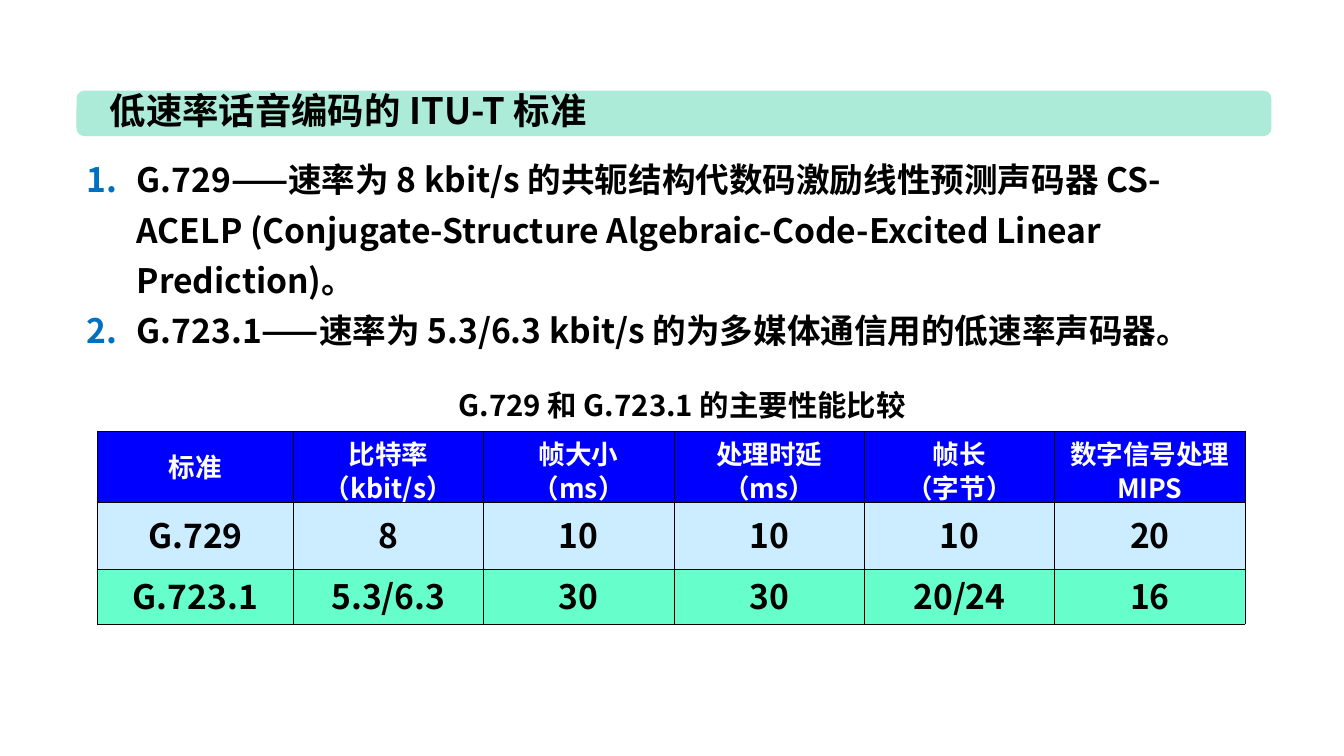
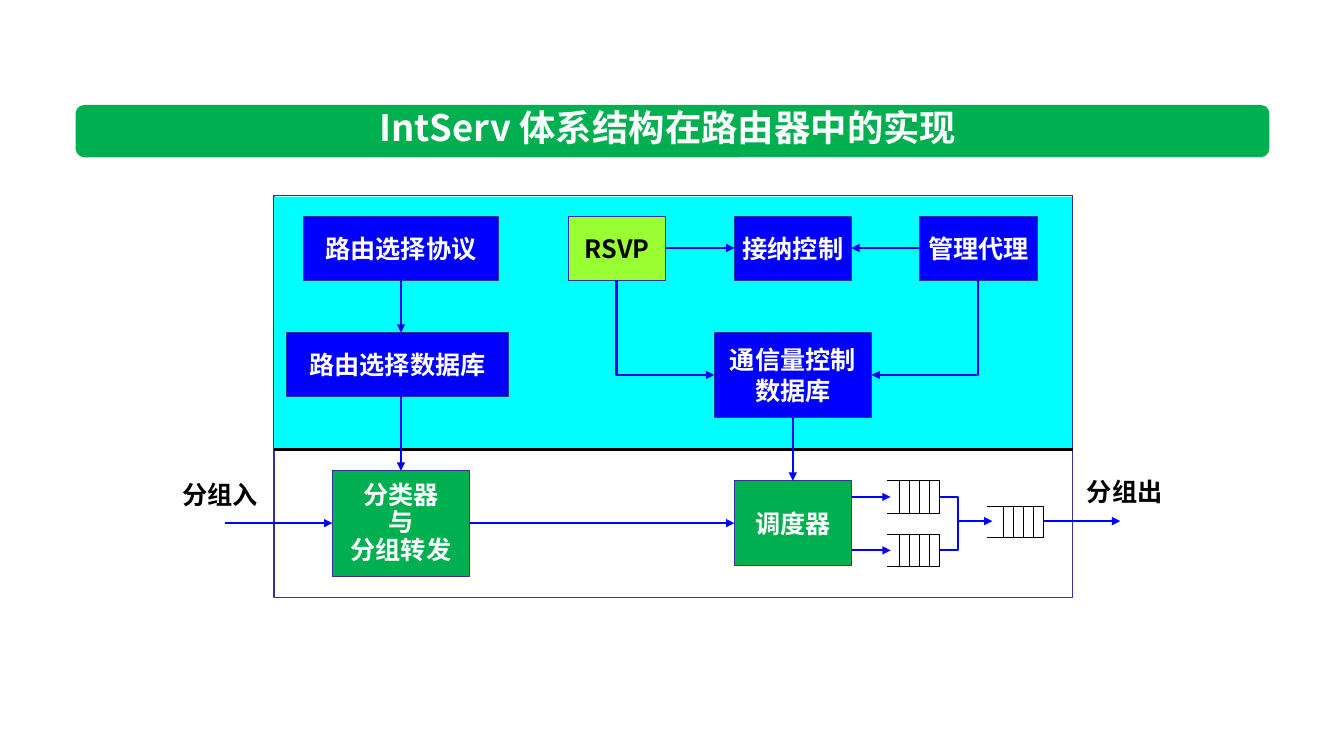
"""Build two slides on speech coding standards and the IntServ router."""
from dataclasses import dataclass
from typing import Optional

from lxml import etree
from pptx import Presentation
from pptx.dml.color import RGBColor
from pptx.enum.shapes import MSO_CONNECTOR, MSO_SHAPE
from pptx.enum.text import MSO_ANCHOR, PP_ALIGN
from pptx.oxml.ns import qn
from pptx.shapes.autoshape import Shape
from pptx.slide import Slide
from pptx.text.text import TextFrame
from pptx.util import Emu, Pt

RECTANGLE = MSO_SHAPE.RECTANGLE
ROUNDED = MSO_SHAPE.ROUNDED_RECTANGLE
STRAIGHT = MSO_CONNECTOR.STRAIGHT
LEFT, CENTER = PP_ALIGN.LEFT, PP_ALIGN.CENTER
TOP, MIDDLE = MSO_ANCHOR.TOP, MSO_ANCHOR.MIDDLE
EMU_PER_PX = 9144
Point = tuple[int, int]


@dataclass(frozen=True)
class Theme:
    """Colours, font and sizes shared by the slides."""

    font: str = "Noto Sans CJK SC"
    black: str = "000000"
    white: str = "FFFFFF"
    blue: str = "0000FF"
    green: str = "00B050"
    lime: str = "99FF33"
    cyan: str = "00FFFF"
    mint: str = "ABEBD7"
    outline: str = "333399"
    number: str = "0070C0"
    row_fills: tuple[str, ...] = ("0000FF", "CCECFF", "66FFCC")
    title_size: int = 26
    body_size: int = 24
    caption_size: int = 21
    header_size: int = 19
    label_size: int = 18
    border_width: float = 0.45
    thin: float = 0.75
    arrow: float = 1.5
    thick: float = 2.25


THEME = Theme()


@dataclass(frozen=True)
class Box:
    """A rectangle in px."""

    left: int
    top: int
    width: int
    height: int

    @property
    def right(self) -> int:
        """Return the right edge."""
        return self.left + self.width

    @property
    def bottom(self) -> int:
        """Return the bottom edge."""
        return self.top + self.height

    @property
    def center(self) -> int:
        """Return the horizontal centre."""
        return self.left + self.width // 2

    @property
    def middle(self) -> int:
        """Return the vertical centre."""
        return self.top + self.height // 2

    def emu(self) -> tuple[Emu, Emu, Emu, Emu]:
        """Return the place and size in EMU."""
        return px(self.left), px(self.top), px(self.width), px(self.height)


@dataclass(frozen=True)
class TextStyle:
    """The look of a block of text."""

    size: int
    color: str = THEME.black
    align: PP_ALIGN = LEFT
    spacing: Optional[float] = None
    numbered: bool = False


@dataclass(frozen=True)
class Node:
    """A labelled block of the router diagram."""

    box: Box
    text: str
    fill: str = THEME.blue
    color: str = THEME.white
    spacing: Optional[float] = None


def px(length: int) -> Emu:
    """Turn px into EMU."""
    return Emu(length * EMU_PER_PX)


def write(frame: TextFrame, text: str, style: TextStyle) -> None:
    """Write one paragraph for each line of text."""
    for index, line in enumerate(text.split("\n")):
        paragraph = frame.add_paragraph() if index else frame.paragraphs[0]
        paragraph.text = line
        paragraph.alignment = style.align
        if style.numbered:
            properties = paragraph._p.get_or_add_pPr()
            properties.set("marL", str(px(50)))
            properties.set("indent", str(px(-50)))
            color = etree.SubElement(properties, qn("a:buClr"))
            etree.SubElement(color, qn("a:srgbClr"), val=THEME.number)
            etree.SubElement(properties, qn("a:buAutoNum"), type="arabicPeriod")
        if style.spacing:
            paragraph.line_spacing = style.spacing
        font = paragraph.font
        font.size = Pt(style.size)
        font.bold = True
        font.color.rgb = RGBColor.from_string(style.color)
        font.name = THEME.font
        defaults = paragraph._p.pPr.find(qn("a:defRPr"))
        etree.SubElement(defaults, qn("a:ea"), typeface=THEME.font)


def add_text(slide: Slide, box: Box, text: str, style: TextStyle, wrap: bool = False) -> None:
    """Add a text box."""
    frame = slide.shapes.add_textbox(*box.emu()).text_frame
    frame.word_wrap = wrap
    write(frame, text, style)


def add_block(slide: Slide, box: Box, fill: str, outlined: bool = True,
              kind: MSO_SHAPE = RECTANGLE) -> Shape:
    """Add a filled shape."""
    shape = slide.shapes.add_shape(kind, *box.emu())
    shape.shadow.inherit = False
    shape.fill.solid()
    shape.fill.fore_color.rgb = RGBColor.from_string(fill)
    if outlined:
        shape.line.color.rgb = RGBColor.from_string(THEME.outline)
        shape.line.width = Pt(THEME.thin)
    else:
        shape.line.fill.background()
    return shape


def add_title(slide: Slide, band: Box, fill: str, box: Box, text: str, style: TextStyle) -> None:
    """Add the rounded title band and its text."""
    add_block(slide, band, fill, outlined=False, kind=ROUNDED)
    add_text(slide, box, text, style)


def add_path(slide: Slide, *points: Point, color: str = THEME.blue,
             width: float = THEME.arrow, arrow: bool = True) -> None:
    """Add a line through the points, with an arrowhead if wanted."""
    places = [(px(x), px(y)) for x, y in points]
    if len(places) == 2:
        shape = slide.shapes.add_connector(STRAIGHT, *places[0], *places[1])
    else:
        builder = slide.shapes.build_freeform(*places[0])
        builder.add_line_segments(places[1:], close=False)
        shape = builder.convert_to_shape()
        shape.fill.background()
    shape.line.color.rgb = RGBColor.from_string(color)
    shape.line.width = Pt(width)
    properties = shape.element.spPr
    if arrow:
        etree.SubElement(properties.find(qn("a:ln")), qn("a:tailEnd"), type="triangle")
    etree.SubElement(properties, qn("a:effectLst"))


def add_node(slide: Slide, node: Node) -> None:
    """Add a labelled block."""
    frame = add_block(slide, node.box, node.fill).text_frame
    frame.word_wrap = False
    frame.vertical_anchor = MIDDLE
    write(frame, node.text, TextStyle(THEME.label_size, node.color, CENTER, node.spacing))


def add_queue(slide: Slide, box: Box) -> None:
    """Add a queue open on the left, with four bars."""
    outline = ((box.left, box.top), (box.right, box.top),
               (box.right, box.bottom), (box.left, box.bottom))
    bars = [((x, box.top), (x, box.bottom)) for x in range(box.right - 40, box.right, 10)]
    for points in (outline, *bars):
        add_path(slide, *points, color=THEME.black, width=THEME.thin, arrow=False)


def add_comparison(slide: Slide, box: Box, columns: list[int], heights: list[int],
                   rows: list[list[str]]) -> None:
    """Add the comparison table."""
    graphic = slide.shapes.add_table(len(rows), len(columns), *box.emu())
    table = graphic.table
    for column, width in zip(table.columns, columns):
        column.width = px(width)
    for index, (row, height, texts) in enumerate(zip(table.rows, heights, rows)):
        row.height = px(height)
        style = (TextStyle(THEME.body_size, THEME.black, CENTER, 0.9) if index
                 else TextStyle(THEME.header_size, THEME.white, CENTER, 0.9))
        for cell, text in zip(row.cells, texts):
            cell.vertical_anchor = MIDDLE
            cell.margin_left = cell.margin_right = px(13)
            cell.margin_top = cell.margin_bottom = px(5)
            cell.fill.solid()
            cell.fill.fore_color.rgb = RGBColor.from_string(THEME.row_fills[index])
            write(cell.text_frame, text, style)
            properties = cell._tc.get_or_add_tcPr()
            for position, side in enumerate(("lnL", "lnR", "lnT", "lnB")):
                border = etree.Element(qn(f"a:{side}"), w=str(Pt(THEME.border_width)))
                fill = etree.SubElement(border, qn("a:solidFill"))
                etree.SubElement(fill, qn("a:srgbClr"), val=THEME.black)
                properties.insert(position, border)


def build_standards(slide: Slide) -> None:
    """Build the slide on the speech coding standards."""
    add_title(slide, Box(76, 90, 1186, 45), THEME.mint, Box(99, 83, 520, 54),
              "低速率话音编码的 ITU-T 标准", TextStyle(THEME.title_size))
    add_text(slide, Box(76, 143, 1186, 210),
             "G.729——速率为 8 kbit/s 的共轭结构代数码激励线性预测声码器 CS-ACELP "
             "(Conjugate-Structure Algebraic-Code-Excited Linear Prediction)。\n"
             "G.723.1——速率为 5.3/6.3 kbit/s 的为多媒体通信用的低速率声码器。",
             TextStyle(THEME.body_size, spacing=Pt(36), numbered=True), wrap=True)
    add_text(slide, Box(391, 379, 572, 45), "G.729 和 G.723.1 的主要性能比较",
             TextStyle(THEME.caption_size, align=CENTER), wrap=True)
    add_comparison(slide, Box(97, 428, 1139, 191), [194] + [189] * 5, [70, 67, 54], [
        ["标准", "比特率\n（kbit/s）", "帧大小\n（ms）", "处理时延\n（ms）",
         "帧长\n（字节）", "数字信号处理\nMIPS"],
        ["G.729", "8", "10", "10", "10", "20"],
        ["G.723.1", "5.3/6.3", "30", "30", "20/24", "16"],
    ])


def build_router(slide: Slide) -> None:
    """Build the slide on IntServ inside a router."""
    add_title(slide, Box(75, 104, 1185, 52), THEME.green, Box(357, 99, 612, 54),
              "IntServ 体系结构在路由器中的实现",
              TextStyle(THEME.title_size, THEME.white, CENTER))
    router = Box(272, 194, 793, 399)
    add_block(slide, router, THEME.white)
    add_block(slide, Box(272, 195, 792, 250), THEME.cyan, outlined=False)

    protocol = Box(301, 215, 194, 63)
    routes = Box(284, 330, 221, 63)
    rsvp = Box(564, 215, 97, 63)
    admission = Box(729, 215, 116, 63)
    agent = Box(913, 215, 117, 63)
    traffic = Box(709, 330, 156, 84)
    classifier = Box(330, 467, 136, 105)
    scheduler = Box(729, 477, 116, 84)
    for node in (
        Node(protocol, "路由选择协议"),
        Node(routes, "路由选择数据库"),
        Node(rsvp, "RSVP", THEME.lime, THEME.black),
        Node(admission, "接纳控制"),
        Node(agent, "管理代理"),
        Node(traffic, "通信量控制\n数据库"),
        Node(classifier, "分类器\n与\n分组转发", THEME.green, spacing=0.9),
        Node(scheduler, "调度器", THEME.green),
    ):
        add_node(slide, node)

    upper, lower = (Box(880, top, 53, 32) for top in (477, 530))
    output = Box(980, 502, 56, 31)
    for queue in (upper, lower, output):
        add_queue(slide, queue)

    add_path(slide, (router.left, 446), (router.right, 446),
             color=THEME.black, width=THEME.thick, arrow=False)
    merge = 951
    add_path(slide, (upper.right, upper.middle), (merge, upper.middle),
             (merge, lower.middle), (lower.right, lower.middle), arrow=False)
    for points in (
        ((output.right, output.middle), (1112, output.middle)),
        ((traffic.center, traffic.bottom), (traffic.center, scheduler.top)),
        ((scheduler.right, upper.middle), (884, upper.middle)),
        ((scheduler.right, lower.middle), (884, lower.middle)),
        ((classifier.right, classifier.middle), (scheduler.left, classifier.middle)),
        ((223, classifier.middle), (classifier.left, classifier.middle)),
        ((merge, output.middle), (985, output.middle)),
        ((protocol.center, protocol.bottom), (protocol.center, routes.top)),
        ((protocol.center, routes.bottom), (protocol.center, classifier.top)),
        ((rsvp.right, rsvp.middle), (admission.left, rsvp.middle)),
        ((agent.left, agent.middle), (admission.right, agent.middle)),
        ((rsvp.center, rsvp.bottom), (rsvp.center, traffic.middle),
         (traffic.left, traffic.middle)),
        ((agent.center, agent.bottom), (agent.center, traffic.middle),
         (traffic.right, traffic.middle)),
    ):
        add_path(slide, *points)
    add_text(slide, Box(171, 471, 95, 40), "分组入", TextStyle(THEME.label_size))
    add_text(slide, Box(1069, 468, 95, 40), "分组出", TextStyle(THEME.label_size))


def main() -> None:
    """Build and save the presentation."""
    presentation = Presentation()
    presentation.slide_width, presentation.slide_height = px(1334), px(750)
    for build in (build_standards, build_router):
        build(presentation.slides.add_slide(presentation.slide_layouts[6]))
    presentation.save("out.pptx")


if __name__ == "__main__":
    main()
